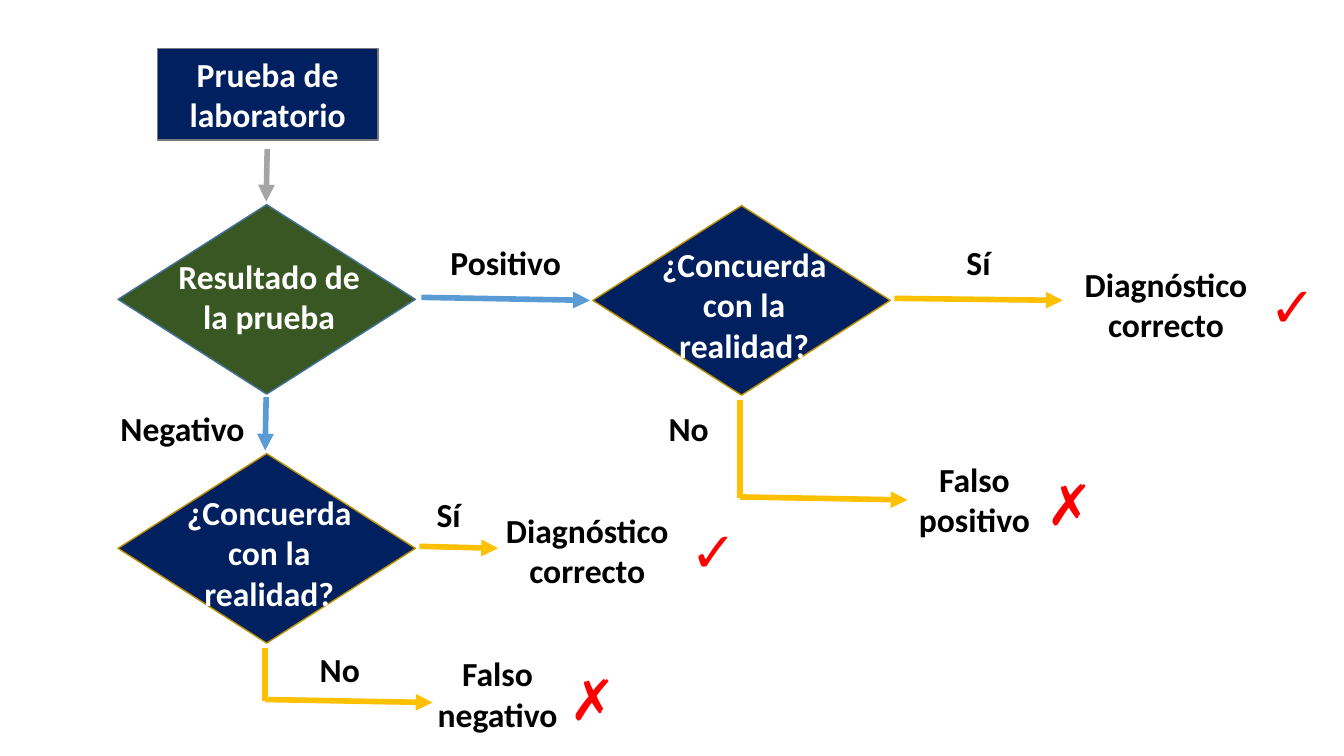
import pptx
import pptx.util
import pptx.dml.color
import pptx.enum.shapes
import pptx.enum.text
import pptx.oxml.ns
import lxml.etree

PX = 9144  # 100 px to the inch
COLORS = {
    "navy": "002060", "green": "385723", "white": "FFFFFF", "black": "000000",
    "red": "FF0000", "gray": "A5A5A5", "blue": "5B9BD5", "gold": "FFC000",
    "test_edge": "7A7A7A", "result_edge": "43739E", "question_edge": "BD8E00",
}
SHAPES = pptx.enum.shapes.MSO_SHAPE


def px(*lengths):
    return [pptx.util.Emu(length * PX) for length in lengths]


def rgb(name):
    return pptx.dml.color.RGBColor.from_string(COLORS[name])


def write(frame, text, size=24, color="black"):
    frame.word_wrap = True
    paragraph = frame.paragraphs[0]
    paragraph.alignment = pptx.enum.text.PP_ALIGN.CENTER
    run = paragraph.add_run()
    run.text = text
    run.font.name = "Calibri"
    run.font.size = pptx.util.Pt(size)
    run.font.bold = True
    run.font.color.rgb = rgb(color)


def add_label(shapes, box, text, **text_format):
    write(shapes.add_textbox(*px(*box)).text_frame, text, **text_format)


def add_block(shapes, kind, box, fill, edge):
    block = shapes.add_shape(kind, *px(*box))
    block.shadow.inherit = False
    block.fill.solid()
    block.fill.fore_color.rgb = rgb(fill)
    block.line.color.rgb = rgb(edge)
    block.line.width = pptx.util.Pt(1)
    return block


def add_line(shapes, start, end, color, arrow=True):
    line = shapes.add_connector(
        pptx.enum.shapes.MSO_CONNECTOR.STRAIGHT, *px(*start, *end))
    line.line.color.rgb = rgb(color)
    line.line.width = pptx.util.Pt(4)
    qn = pptx.oxml.ns.qn
    if arrow:
        outline = line.line._get_or_add_ln()
        lxml.etree.SubElement(outline, qn("a:tailEnd"), type="triangle")
    lxml.etree.SubElement(line._element.spPr, qn("a:effectLst"))


def add_decision(shapes, box, text, text_height, text_drop, fill, edge):
    """Diamond with its caption, grouped."""
    left, top, width, _ = box
    group = shapes.add_group_shape().shapes
    add_block(group, SHAPES.DIAMOND, box, fill, edge)
    caption_width = width - 83
    add_label(group, (left + 44, top + text_drop, caption_width, text_height),
              text, color="white")


def add_outcome(shapes, left, top, text, correct):
    """Final diagnosis with its tick or cross."""
    mark, shift, drop = ("✓", 189, 7) if correct else ("✗", 158, 11)
    add_label(shapes, (left, top, 193, 91), text)
    add_label(shapes, (left + shift, top + drop, 48, 77), mark,
              size=40, color="red")


def add_test(shapes, box):
    """Laboratory test, its result and the two ways out."""
    left, top, width, height = box
    test = add_block(shapes, SHAPES.RECTANGLE, (left + 39, top, 219, 91),
                     "navy", "test_edge")
    write(test.text_frame, "Prueba de laboratorio", color="white")
    add_line(shapes, (left + 148, top + 100), (left + 147, top + 152), "gray")

    result_top = top + 155
    add_decision(shapes, (left, result_top, width, height - 155),
                 "Resultado de la prueba", 91, 46, "green", "result_edge")

    add_line(shapes, (left + 301, top + 247), (left + 468, top + 250), "blue")
    add_label(shapes, (left + 315, top + 187, 139, 50), "Positivo")
    add_line(shapes, (left + 147, top + 346), (left + 146, top + 399), "blue")
    add_label(shapes, (left - 11, top + 352, 150, 50), "Negativo")


def add_check(shapes, box, yes_length, yes_label, yes_outcome,
              no_drop, no_label, no_outcome, no_text):
    """Comparison with reality; labels and outcomes are offsets in the box."""
    left, top, width, height = box

    def place(offset):
        x, y, *extent = offset
        return (left + x, top + y, *extent)

    add_decision(shapes, box, "¿Concuerda con la realidad?", 131, 33,
                 "navy", "question_edge")

    # Yes: to the right
    add_line(shapes, place((width + 4, 92)),
             place((width + 4 + yes_length, 94)), "gold")
    add_label(shapes, place(yes_label), "Sí")
    add_outcome(shapes, *place(yes_outcome), "Diagnóstico correcto", True)

    # No: down, then to the right
    corner_x, corner_y = 146, height + 5 + no_drop
    add_line(shapes, place((corner_x, corner_y)),
             place((corner_x + 166, corner_y + 3)), "gold")
    add_line(shapes, place((corner_x, height + 5)),
             place((corner_x, corner_y + 1)), "gold", arrow=False)
    add_label(shapes, place(no_label), "No")
    add_outcome(shapes, *place(no_outcome), no_text, False)


def main():
    deck = pptx.Presentation()
    deck.slide_width, deck.slide_height = px(1333, 750)
    shapes = deck.slides.add_slide(deck.slide_layouts[6]).shapes

    add_test(shapes, (117, 48, 295, 343))
    # Positive result
    add_check(shapes, (588, 204, 295, 188),
              yes_length=167, yes_label=(313, 31, 139, 50),
              yes_outcome=(472, 53), no_drop=96, no_label=(61, 196, 68, 50),
              no_outcome=(282, 246), no_text="Falso positivo")
    # Negative result
    add_check(shapes, (117, 450, 295, 188),
              yes_length=78, yes_label=(300, 35, 56, 50),
              yes_outcome=(369, 51), no_drop=51, no_label=(188, 189, 64, 50),
              no_outcome=(280, 193), no_text="Falso negativo")

    deck.save("out.pptx")


if __name__ == "__main__":
    main()
